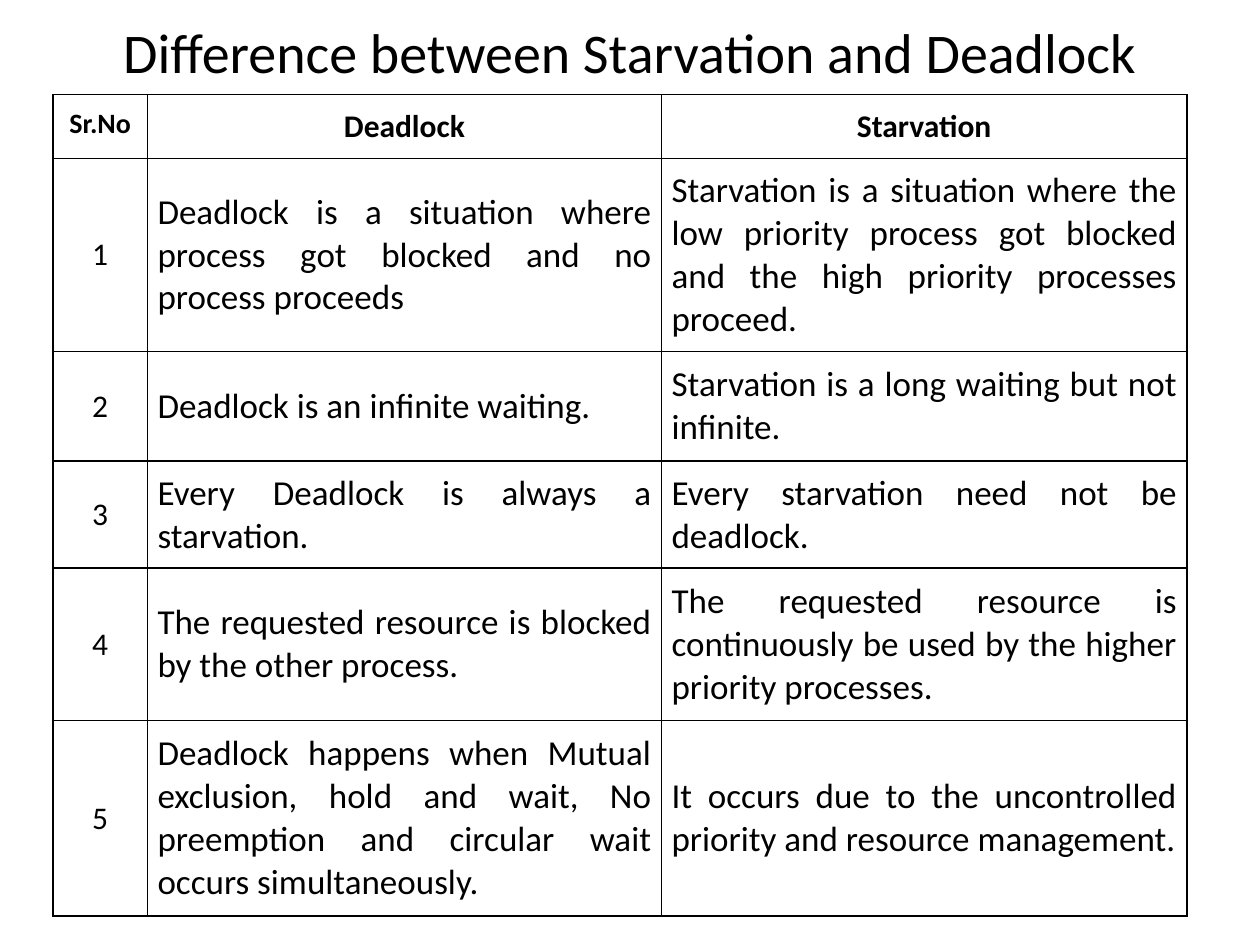
from lxml import etree
from pptx import Presentation
from pptx.dml.color import RGBColor
from pptx.enum import text as t
from pptx.oxml import ns
from pptx.util import Inches, Pt

INK = "000000"
PAPER = "FFFFFF"
COLS = [0.75, 4.08, 4.17]
ROWS = [0.51, 1.53, 0.87, 0.85, 1.21, 1.55]
HEADS = ["Sr.No", "Deadlock", "Starvation"]
PAIRS = [
    ("Deadlock is a situation where process got blocked and no process proceeds",
     "Starvation is a situation where the low priority process got blocked "
     "and the high priority processes proceed."),
    ("Deadlock is an infinite waiting.",
     "Starvation is a long waiting but not infinite."),
    ("Every Deadlock is always a starvation.",
     "Every starvation need not be deadlock."),
    ("The requested resource is blocked by the other process.",
     "The requested resource is continuously be used by the higher "
     "priority processes."),
    ("Deadlock happens when Mutual exclusion, hold and wait, No preemption "
     "and circular wait occurs simultaneously.",
     "It occurs due to the uncontrolled priority and resource management."),
]


def color(code):
    return RGBColor.from_string(code)


def write(frame, words, size, align, bold=False):
    para = frame.paragraphs[0]
    para.alignment = align
    run = para.add_run()
    run.text = words
    font = run.font
    font.name, font.size, font.bold = "Calibri", Pt(size), bold
    font.color.rgb = color(INK)


def add_title(slide, words):
    title = slide.shapes.title
    title.left, title.top = Inches(0.5), Inches(0.3)
    title.width, title.height = Inches(9), Inches(0.7)
    frame = title.text_frame
    frame.word_wrap = True
    frame.auto_size = t.MSO_AUTO_SIZE.NONE
    frame.vertical_anchor = t.MSO_ANCHOR.MIDDLE
    # The deep bottom margin lifts the line clear of the table.
    frame.margin_bottom = Inches(0.54)
    write(frame, words, 32, t.PP_ALIGN.CENTER)


def add_edges(cell):
    """Rule all four sides; lines must come before the fill."""
    props = cell._tc.get_or_add_tcPr()
    for spot, side in enumerate(("lnL", "lnR", "lnT", "lnB")):
        line = etree.Element(ns.qn("a:" + side), w=str(Pt(1)))
        fill = etree.SubElement(line, ns.qn("a:solidFill"))
        etree.SubElement(fill, ns.qn("a:srgbClr"), val=INK)
        props.insert(spot, line)


def fill_cell(cell, words, size, align, head):
    pad = Inches(0.1 if head else 0.08)
    cell.margin_left = cell.margin_right = pad
    cell.margin_top = cell.margin_bottom = pad
    cell.vertical_anchor = t.MSO_ANCHOR.TOP if head else t.MSO_ANCHOR.MIDDLE
    cell.fill.solid()
    cell.fill.fore_color.rgb = color(PAPER)
    write(cell.text_frame, words, size, align, head)
    add_edges(cell)


def add_grid(slide):
    grid = slide.shapes.add_table(
        len(ROWS), len(COLS), Inches(0.42), Inches(0.75),
        Inches(sum(COLS)), Inches(sum(ROWS))).table
    for col, width in zip(grid.columns, COLS):
        col.width = Inches(width)
    for row, height in zip(grid.rows, ROWS):
        row.height = Inches(height)

    lines = [HEADS] + [(str(n), *pair) for n, pair in enumerate(PAIRS, 1)]
    for r, line in enumerate(lines):
        for c, words in enumerate(line):
            head = r == 0
            if head or c == 0:
                size, align = 18, t.PP_ALIGN.CENTER
            else:
                size, align = 20, t.PP_ALIGN.JUSTIFY
            if c == 0 and r < 2:
                size = 16 if head else 18
            fill_cell(grid.cell(r, c), words, size, align, head)


def main():
    deck = Presentation()
    deck.slide_width, deck.slide_height = Inches(10), Inches(7.5)
    slide = deck.slides.add_slide(deck.slide_layouts[5])
    add_title(slide, "Difference between Starvation and Deadlock")
    add_grid(slide)
    deck.save("out.pptx")


if __name__ == "__main__":
    main()
